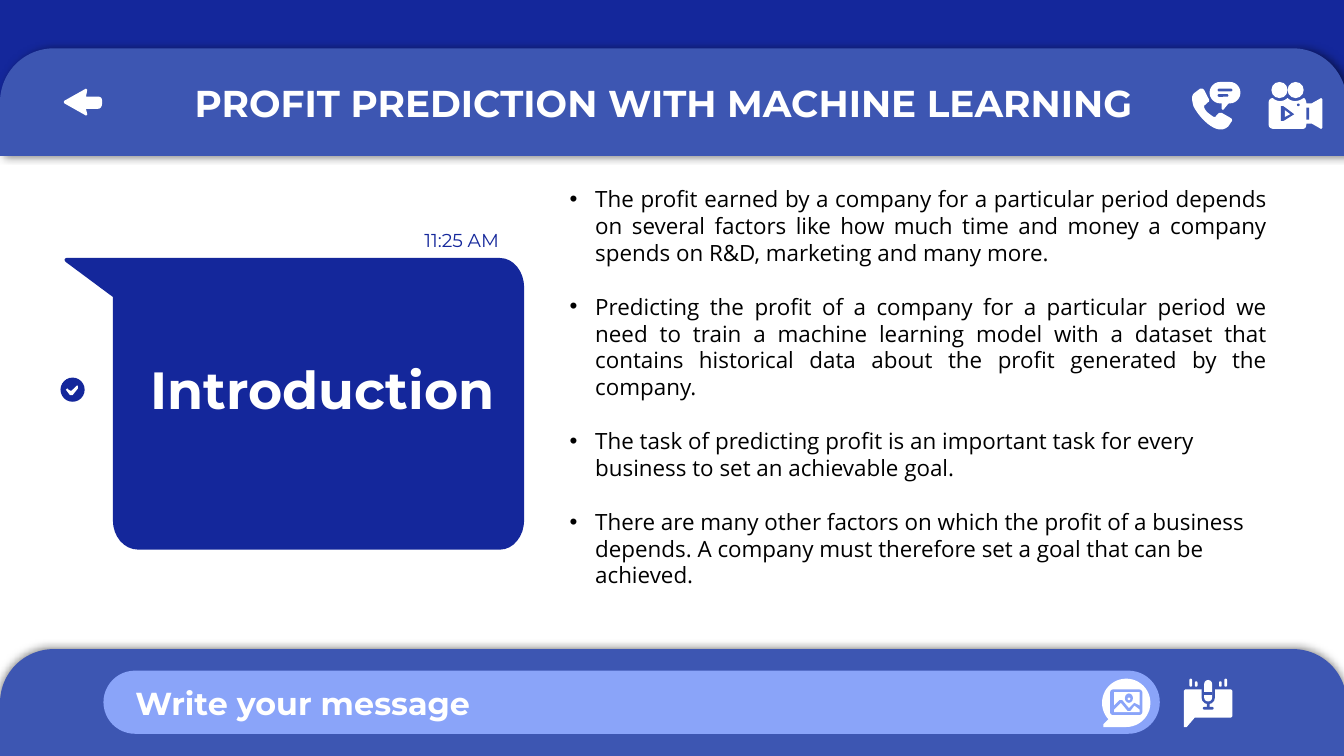
"""Build the Introduction slide of a profit prediction deck, styled as a chat screen."""
import pptx
import pptx.dml.color
import pptx.enum.shapes
import pptx.enum.text
import pptx.oxml.ns
import pptx.util
from lxml import etree

Inches = pptx.util.Inches
Pt = pptx.util.Pt
RGBColor = pptx.dml.color.RGBColor
MSO = pptx.enum.shapes.MSO_SHAPE
ALIGN = pptx.enum.text.PP_ALIGN
ANCHOR = pptx.enum.text.MSO_ANCHOR
qn = pptx.oxml.ns.qn

NAVY = RGBColor(0x14, 0x27, 0x9B)
BLUE = RGBColor(0x3D, 0x56, 0xB2)
SKY = RGBColor(0x8A, 0xA4, 0xF9)
WHITE = RGBColor(0xFF, 0xFF, 0xFF)
BLACK = RGBColor(0x00, 0x00, 0x00)

prs = pptx.Presentation()
prs.slide_width, prs.slide_height = Inches(10), Inches(10) * 9 // 16
s = prs.slides.add_slide(prs.slide_layouts[5])


def add_plain(kind, x, y, w, h, color, adj=()):
    """Add a filled preset shape without line or shadow."""
    sp = s.shapes.add_shape(kind, Inches(x), Inches(y), Inches(w), Inches(h))
    sp.shadow.inherit = False
    sp.fill.solid()
    sp.fill.fore_color.rgb = color
    sp.line.fill.background()
    for i, value in enumerate(adj):
        sp.adjustments[i] = value
    return sp


def add_outline(color, *nodes):
    """Add a closed outline; a node of six numbers is a Bezier curve."""
    points = [nodes[0]]
    for node in nodes[1:]:
        if len(node) == 2:
            points.append(node)
            continue
        x0, y0 = points[-1]
        x1, y1, x2, y2, x3, y3 = node
        for t in (i / 8 for i in range(1, 9)):
            a, b, c, d = (1 - t) ** 3, 3 * t * (1 - t) ** 2, 3 * t * t * (1 - t), t ** 3
            points.append((a * x0 + b * x1 + c * x2 + d * x3,
                           a * y0 + b * y1 + c * y2 + d * y3))
    points = [(Inches(x), Inches(y)) for x, y in points]
    fb = s.shapes.build_freeform(*points[0], scale=1.0)
    fb.add_line_segments(points[1:], close=True)
    sp = fb.convert_to_shape()
    sp.shadow.inherit = False
    sp.fill.solid()
    sp.fill.fore_color.rgb = color
    sp.line.fill.background()
    return sp


add_plain(MSO.RECTANGLE, 0, -0.01, 10.02, 1.02, NAVY)
for y, angle in ((0.36, 0), (4.83, 237)):
    bar = add_plain(MSO.ROUND_2_SAME_RECTANGLE, 0, y, 10.02, 0.8, BLUE, (0.5, 0))
    effects = bar.element.spPr.find(qn("a:effectLst"))
    shadow = etree.SubElement(effects, qn("a:outerShdw"), blurRad=str(Pt(4.5)),
                              dist=str(Pt(1.5)), dir=str(angle * 60000), rotWithShape="0")
    shade = etree.SubElement(shadow, qn("a:srgbClr"), val="000000")
    etree.SubElement(shade, qn("a:alpha"), val="50000")
add_plain(MSO.ROUNDED_RECTANGLE, 0.77, 4.99, 7.86, 0.47, SKY, (0.5,))

bubble = add_outline(
    NAVY, (0.5, 1.92), (0.49, 1.92, 0.49, 1.92, 0.48, 1.93),
    (0.48, 1.94, 0.49, 1.95, 0.49, 1.95), (0.84, 2.21), (0.84, 3.87),
    (0.84, 3.99, 0.92, 4.09, 1.03, 4.09), (3.72, 4.09),
    (3.82, 4.09, 3.9, 3.99, 3.9, 3.87), (3.9, 2.14),
    (3.9, 2.02, 3.82, 1.92, 3.72, 1.92))

title = s.shapes.title
bubble.element.addnext(title.element)
title.left, title.top = Inches(0.99), Inches(2.56)
title.width, title.height = Inches(2.82), Inches(0.72)

add_outline(
    WHITE, (0.48, 0.75), (0.47, 0.76, 0.48, 0.77, 0.48, 0.77), (0.64, 0.86),
    (0.64, 0.86, 0.65, 0.86, 0.65, 0.85), (0.64, 0.81), (0.73, 0.81),
    (0.75, 0.81, 0.76, 0.79, 0.76, 0.77), (0.76, 0.75),
    (0.76, 0.73, 0.75, 0.72, 0.73, 0.72), (0.64, 0.72), (0.65, 0.67),
    (0.65, 0.67, 0.64, 0.66, 0.64, 0.66))

add_outline(
    WHITE, (8.94, 0.66), (8.93, 0.66), (8.89, 0.69),
    (8.86, 0.71, 8.87, 0.75, 8.88, 0.79), (8.91, 0.85, 8.97, 0.92, 9.03, 0.95),
    (9.07, 0.97, 9.11, 0.97, 9.14, 0.94), (9.16, 0.91),
    (9.17, 0.9, 9.17, 0.89, 9.16, 0.88), (9.09, 0.84),
    (9.09, 0.84, 9.08, 0.84, 9.07, 0.84), (9.05, 0.86),
    (9.05, 0.87, 9.04, 0.87, 9.03, 0.87), (9, 0.85, 8.97, 0.83, 8.96, 0.8),
    (8.96, 0.79, 8.96, 0.78, 8.97, 0.78), (8.99, 0.76),
    (9, 0.76, 9, 0.74, 8.99, 0.73), (8.96, 0.67), (8.95, 0.66, 8.95, 0.66, 8.94, 0.66))
add_plain(MSO.ROUNDED_RECTANGLE, 9, 0.61, 0.23, 0.16, WHITE, (0.5,))
add_outline(WHITE, (9.09, 0.76), (9.09, 0.81), (9.1, 0.82), (9.15, 0.76))
for y, w in ((0.66, 0.11), (0.7, 0.08)):
    add_plain(MSO.ROUNDED_RECTANGLE, 9.06, y, w, 0.02, BLUE, (0.5,))

for x in (9.46, 9.58):
    add_plain(MSO.OVAL, x, 0.61, 0.12, 0.12, WHITE)
add_outline(
    WHITE, (9.47, 0.73), (9.5, 0.76, 9.55, 0.76, 9.58, 0.73),
    (9.61, 0.76, 9.66, 0.76, 9.7, 0.73), (9.71, 0.73, 9.72, 0.75, 9.72, 0.77),
    (9.76, 0.77), (9.83, 0.73), (9.84, 0.74), (9.84, 0.95), (9.83, 0.96),
    (9.76, 0.92), (9.72, 0.92), (9.72, 0.95, 9.71, 0.96, 9.69, 0.96), (9.48, 0.96),
    (9.46, 0.96, 9.44, 0.95, 9.44, 0.93), (9.44, 0.76),
    (9.44, 0.75, 9.45, 0.73, 9.47, 0.73))
add_outline(BLUE, (9.53, 0.79), (9.55, 0.79), (9.63, 0.85), (9.55, 0.9), (9.53, 0.9))
add_outline(WHITE, (9.56, 0.82), (9.56, 0.87), (9.6, 0.85))
add_plain(MSO.OVAL, 9.65, 0.77, 0.02, 0.02, BLUE)
add_plain(MSO.RECTANGLE, 9.72, 0.8, 0.02, 0.09, BLUE)

for x, y, h in ((8.85, 5.05, 0.06), (8.89, 5.07, 0.04), (9.07, 5.07, 0.04), (9.11, 5.05, 0.06)):
    add_plain(MSO.ROUNDED_RECTANGLE, x, y, 0.02, h, WHITE, (0.5,))
add_outline(WHITE, (8.82, 5.13), (9.16, 5.13), (9.17, 5.14), (9.17, 5.33), (9.16, 5.34),
            (8.89, 5.34), (8.83, 5.41), (8.81, 5.41), (8.81, 5.14))
add_plain(MSO.ROUNDED_RECTANGLE, 8.94, 5.06, 0.1, 0.18, BLUE, (0.5,))
add_plain(MSO.RECTANGLE, 8.98, 5.23, 0.02, 0.04, BLUE)
add_plain(MSO.ROUNDED_RECTANGLE, 8.95, 5.26, 0.08, 0.02, BLUE, (0.5,))
add_plain(MSO.ROUNDED_RECTANGLE, 8.96, 5.06, 0.06, 0.16, WHITE, (0.5,))
add_plain(MSO.RECTANGLE, 8.96, 5.15, 0.06, 0.02, BLUE)

add_plain(MSO.OVAL, 8.2, 5.05, 0.36, 0.36, WHITE)
add_outline(WHITE, (8.25, 5.35), (8.21, 5.39), (8.21, 5.41), (8.38, 5.41), (8.38, 5.3))
add_plain(MSO.ROUNDED_RECTANGLE, 8.26, 5.13, 0.24, 0.19, SKY, (0.12,))
add_plain(MSO.RECTANGLE, 8.29, 5.15, 0.19, 0.15, WHITE)
add_plain(MSO.OVAL, 8.37, 5.16, 0.06, 0.07, SKY)
add_plain(MSO.OVAL, 8.39, 5.19, 0.02, 0.02, WHITE)
add_outline(SKY, (8.29, 5.25), (8.33, 5.21), (8.35, 5.21), (8.4, 5.27), (8.44, 5.23),
            (8.48, 5.25), (8.48, 5.28), (8.44, 5.25), (8.41, 5.29), (8.39, 5.29),
            (8.34, 5.23), (8.29, 5.28))

add_plain(MSO.OVAL, 0.45, 2.81, 0.18, 0.18, NAVY)
add_outline(WHITE, (0.49, 2.9), (0.5, 2.89), (0.51, 2.9), (0.53, 2.91), (0.57, 2.87),
            (0.58, 2.87), (0.58, 2.89), (0.54, 2.94), (0.52, 2.94))

header = s.shapes.add_textbox(Inches(1.35), Inches(0.5), Inches(7.95), Inches(0.54))
prompt = s.shapes.add_textbox(Inches(0.91), Inches(4.99), Inches(3.73), Inches(0.47))
time = s.shapes.add_textbox(Inches(2.96), Inches(1.6), Inches(0.85), Inches(0.32))
labels = (
    (title, "Introduction", 28, WHITE, True, ALIGN.CENTER),
    (header, "PROFIT PREDICTION WITH MACHINE LEARNING", 20, WHITE, True, ALIGN.LEFT),
    (prompt, "Write your message", 17, WHITE, True, ALIGN.LEFT),
    (time, "11:25 AM", 10, NAVY, False, ALIGN.RIGHT),
)
for sp, text, size, color, bold, align in labels:
    tf = sp.text_frame
    tf.text = text
    tf.word_wrap = True
    tf.auto_size = pptx.enum.text.MSO_AUTO_SIZE.NONE
    tf.vertical_anchor = ANCHOR.TOP
    tf.margin_left = tf.margin_right = tf.margin_top = tf.margin_bottom = Inches(0.1)
    p = tf.paragraphs[0]
    p.alignment = align
    font = p.runs[0].font
    font.name, font.size, font.bold = "Montserrat", Pt(size), bold
    font.color.rgb = color

points = (
    ("The profit earned by a company for a particular period depends on several factors like "
     "how much time and money a company spends on R&D, marketing and many more.", ALIGN.JUSTIFY),
    ("Predicting the profit of a company for a particular period we need to train a machine "
     "learning model with a dataset that contains historical data about the profit generated "
     "by the company.", ALIGN.JUSTIFY),
    ("The task of predicting profit is an important task for every business to set an "
     "achievable goal.", ALIGN.LEFT),
    ("There are many other factors on which the profit of a business depends. A company must "
     "therefore set a goal that can be achieved.", ALIGN.LEFT),
)
tf = s.shapes.add_textbox(Inches(4.14), Inches(1.33), Inches(5.39), Inches(3.33)).text_frame
tf.word_wrap = True
tf.text = "\n".join(text for text, align in points)
for p, (text, align) in zip(tf.paragraphs, points):
    p.alignment = align
    p.line_spacing = Pt(14.4)
    p.space_after = Pt(14.4)
    font = p.runs[0].font
    font.name, font.size = "Open Sans", Pt(12)
    font.color.rgb = BLACK
    pPr = p._p.get_or_add_pPr()
    pPr.set("marL", str(Inches(0.19)))
    pPr.set("indent", str(-Inches(0.19)))
    tint = etree.SubElement(pPr, qn("a:buClr"))
    etree.SubElement(tint, qn("a:srgbClr"), val="000000")
    etree.SubElement(pPr, qn("a:buFont"), typeface="Arial")
    etree.SubElement(pPr, qn("a:buChar"), char="•")

prs.save("out.pptx")
